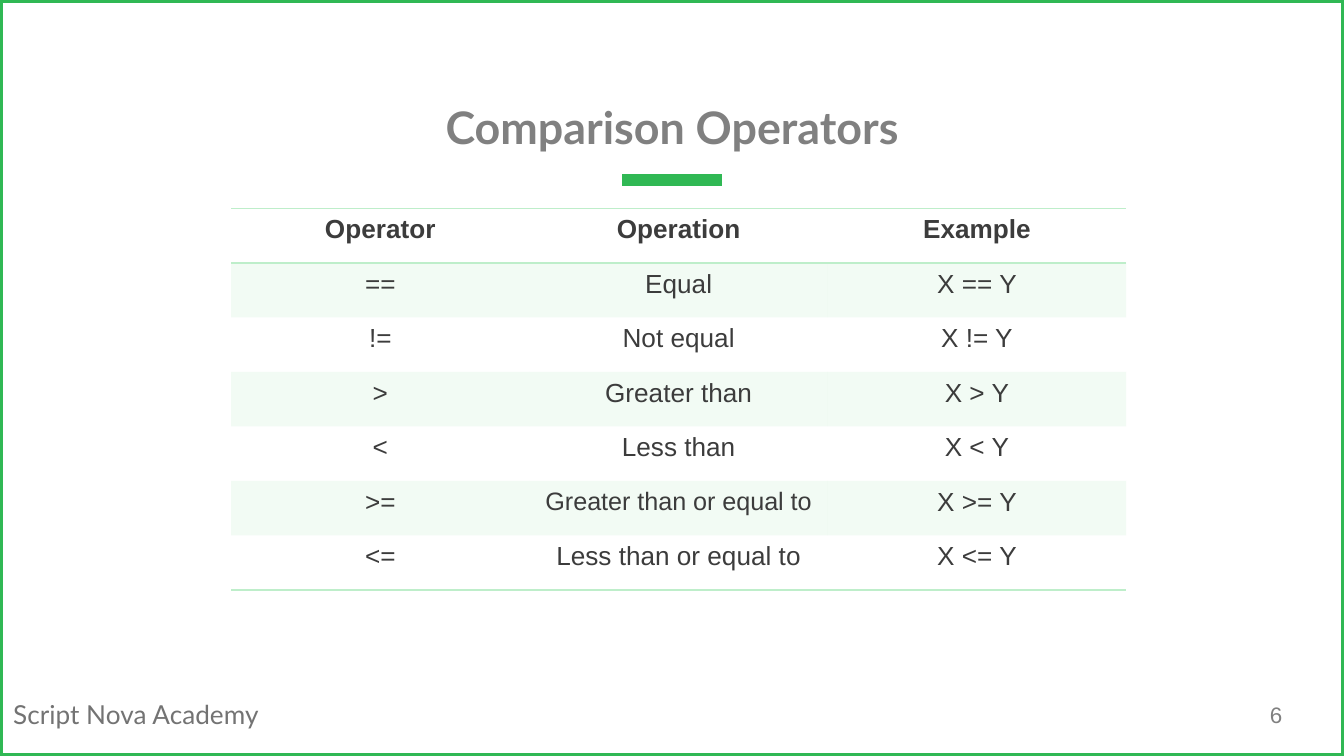
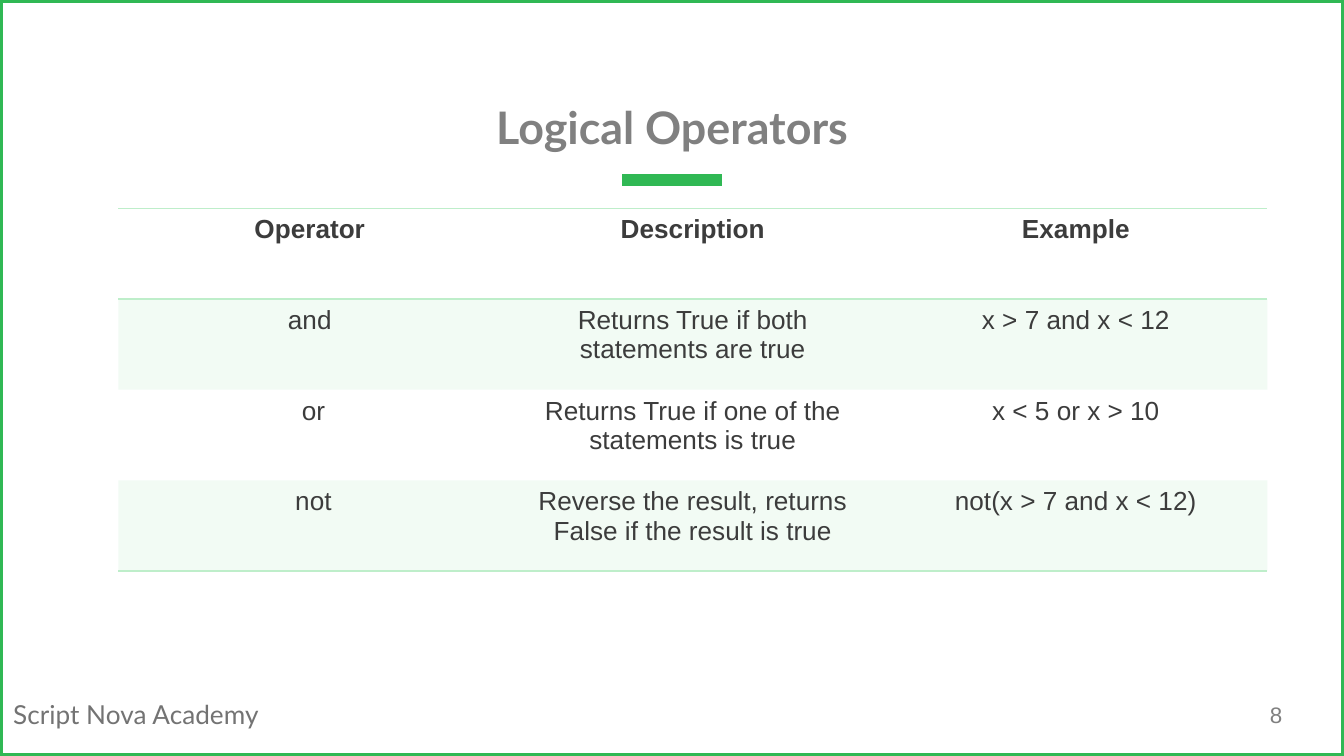
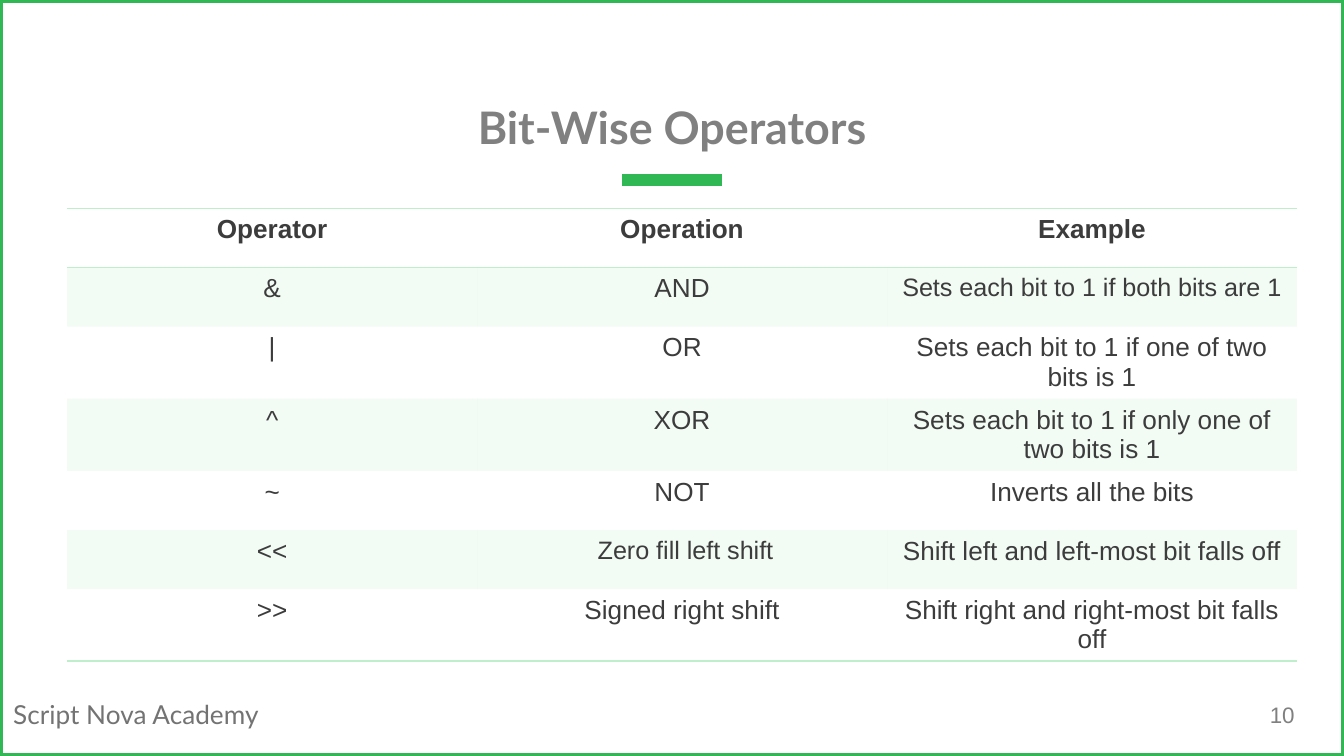
from lxml.etree import SubElement
from pptx import Presentation
from pptx.dml.color import RGBColor
from pptx.enum.shapes import MSO_CONNECTOR, MSO_SHAPE
from pptx.enum.text import MSO_ANCHOR, MSO_AUTO_SIZE, PP_ALIGN
from pptx.oxml.ns import qn
from pptx.util import Inches, Pt

# Content: title, page number, table (left, width, height), rows (header first)
SLIDES = [
    ("Comparison Operators", "6", (1.72, 6.66, 2.84), [
        ("Operator", "Operation", "Example"),
        ("==", "Equal", "X == Y"),
        ("!=", "Not equal", "X != Y"),
        (">", "Greater than", "X > Y"),
        ("<", "Less than", "X < Y"),
        (">=", "Greater than or equal to", "X >= Y"),
        ("<=", "Less than or equal to", "X <= Y"),
    ]),
    ("Logical Operators", "8", (0.88, 8.55, 2.7), [
        ("Operator", "Description", "Example"),
        ("and", "Returns True if both statements are true", "x > 7 and x < 12"),
        (" or", "Returns True if one of the statements is true", "x < 5 or x > 10"),
        (" not", "Reverse the result, returns False if the result is true",
         "not(x > 7 and x < 12)"),
    ]),
    ("Bit-Wise Operators", "10", (0.5, 9.15, 3.08), [
        ("Operator", "Operation", "Example"),
        ("&", "AND", "Sets each bit to 1 if both bits are 1"),
        ("|", "OR", "Sets each bit to 1 if one of two bits is 1"),
        ("^", "XOR", "Sets each bit to 1 if only one of two bits is 1"),
        ("~", "NOT", "Inverts all the bits"),
        ("<<", " Zero fill left shift", "Shift left and left-most bit falls off"),
        (">>", "Signed right shift", "Shift right and right-most bit falls off"),
    ]),
]
SMALLER = {"Greater than or equal to", "Sets each bit to 1 if both bits are 1",
           " Zero fill left shift"}
FOOTER = "Script Nova Academy"

# Shared look
W, H = 10, 10 * 9 / 16
GREEN, PALE, INK, GREY, FOOT = "30B854", "BEEECA", "3C3C3C", "808080", "737373"
HEAD, BODY = "Lato", "Arial"
RULE_Y, RULE_W, TABLE_TOP = 1.34, 0.74, 1.55
NO_STYLE = "{2D5ABB26-0587-4C30-8999-92F81FD0307C}"


def rgb(color):
    return RGBColor.from_string(color)


def write(tf, text, size=14, font=BODY, color=INK, bold=False, align=PP_ALIGN.LEFT):
    p = tf.paragraphs[0]
    p.alignment = align
    r = p.add_run()
    r.text = text
    r.font.size, r.font.name, r.font.bold = Pt(size), font, bold
    r.font.color.rgb = rgb(color)


def add_text(s, box, text, anchor=MSO_ANCHOR.TOP, inset=0.1, **fmt):
    tf = s.shapes.add_textbox(*map(Inches, box)).text_frame
    tf.word_wrap = True
    tf.vertical_anchor = anchor
    tf.margin_top = tf.margin_bottom = Inches(inset)
    write(tf, text, **fmt)
    return tf


def add_frame(s):
    """Footer, green slide border and the short rule under the title."""
    tf = add_text(s, (0, 5.15, 2.55, 0.34), FOOTER, inset=0.05, font=HEAD, color=FOOT)
    tf.auto_size = MSO_AUTO_SIZE.SHAPE_TO_FIT_TEXT
    border = s.shapes.add_shape(MSO_SHAPE.RECTANGLE, 0, 0, Inches(W), Inches(H))
    border.shadow.inherit = False
    border.fill.background()
    x, y = (W - RULE_W) / 2, Inches(RULE_Y)
    rule = s.shapes.add_connector(MSO_CONNECTOR.STRAIGHT, Inches(x), y,
                                  Inches(x + RULE_W), y)
    for sp, width in ((border, 3), (rule, 6)):
        sp.line.color.rgb = rgb(GREEN)
        sp.line.width = Pt(width)
    SubElement(rule.element.spPr, qn("a:effectLst"))


def add_edge(cell, side):
    ln = SubElement(cell._tc.get_or_add_tcPr(), qn(f"a:ln{side}"), w=str(Pt(1)))
    SubElement(SubElement(ln, qn("a:solidFill")), qn("a:srgbClr"), val=PALE)


def tint(cell):
    cell.fill.solid()
    cell.fill.fore_color.rgb = rgb(PALE)
    clr = cell._tc.tcPr.find(qn("a:solidFill")).find(qn("a:srgbClr"))
    SubElement(clr, qn("a:alpha"), val="20000")


def add_operator_table(s, left, width, height, rows):
    n, m = len(rows), len(rows[0])
    table = s.shapes.add_table(n, m, Inches(left), Inches(TABLE_TOP),
                               Inches(width), Inches(height)).table
    table.first_row = table.horz_banding = False
    table._tbl.tblPr.find(qn("a:tableStyleId")).text = NO_STYLE
    for i, row in enumerate(rows):
        for j, text in enumerate(row):
            cell = table.cell(i, j)
            cell.margin_bottom = Inches(0.02)
            write(cell.text_frame, text, size=13.5 if text in SMALLER else 14,
                  bold=i == 0, align=PP_ALIGN.CENTER)
            # Lines above and below the header and below the last row
            if i == 0:
                add_edge(cell, "T")
            if i in (0, n - 1):
                add_edge(cell, "B")
            if i % 2:
                tint(cell)
            else:
                cell.fill.background()


def main():
    prs = Presentation()
    prs.slide_width, prs.slide_height = Inches(W), Inches(H)
    for title, page, place, rows in SLIDES:
        s = prs.slides.add_slide(prs.slide_layouts[6])
        add_frame(s)
        add_text(s, (0, 0.24, W, 1), title, anchor=MSO_ANCHOR.BOTTOM, size=24,
                 font=HEAD, color=GREY, bold=True, align=PP_ALIGN.CENTER)
        add_text(s, (9.35, 5.1, 0.6, 0.43), page, anchor=MSO_ANCHOR.MIDDLE,
                 size=12, color=GREY)
        add_operator_table(s, *place, rows)
    prs.save("out.pptx")


if __name__ == "__main__":
    main()
